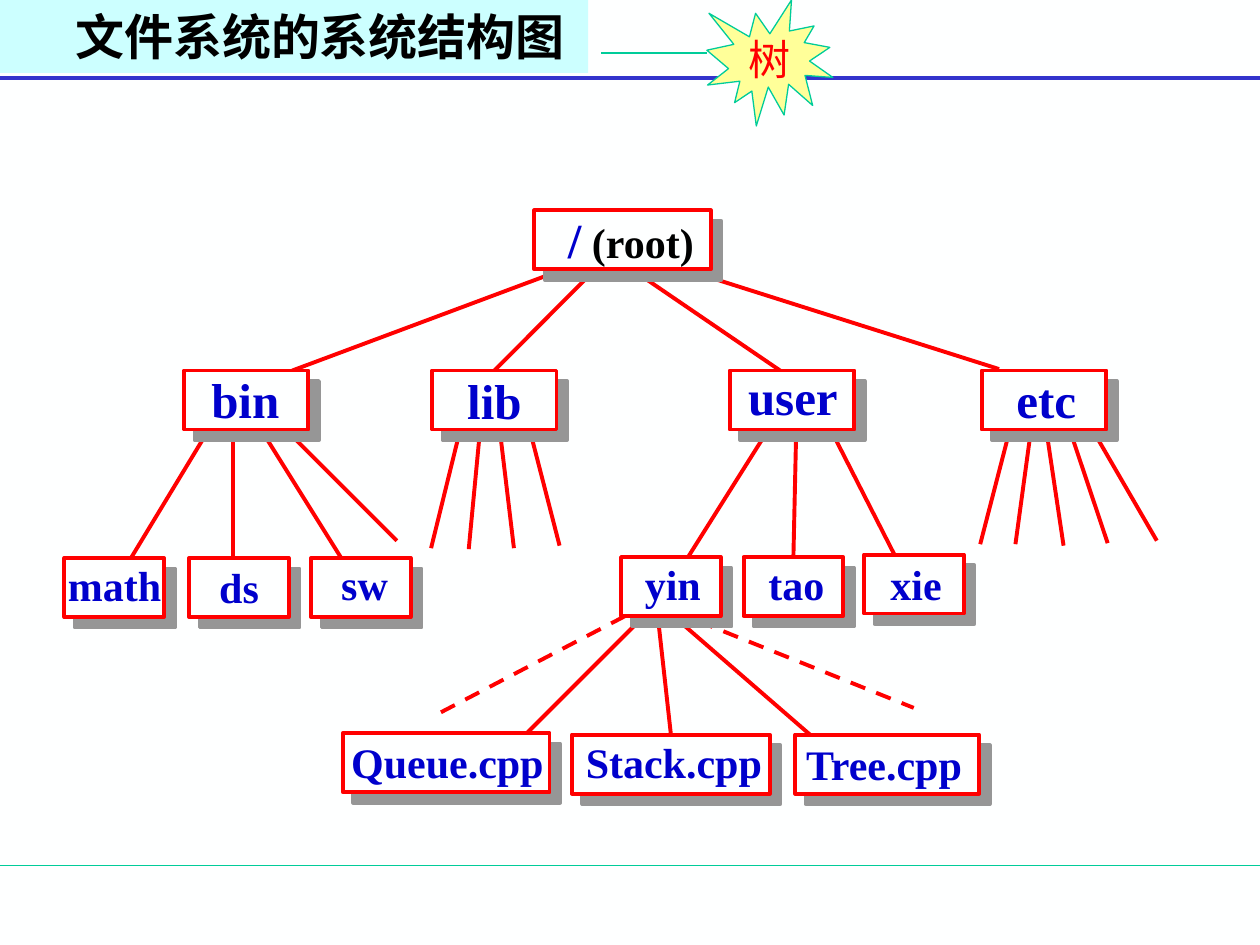
from lxml import etree
from pptx import Presentation
from pptx.dml.color import RGBColor
from pptx.enum.dml import MSO_LINE
from pptx.enum.shapes import MSO_CONNECTOR, MSO_SHAPE
from pptx.enum.text import MSO_ANCHOR, MSO_AUTO_SIZE, PP_ALIGN
from pptx.oxml.ns import qn
from pptx.util import Cm, Pt

STRAIGHT = MSO_CONNECTOR.STRAIGHT
RECT, BURST = MSO_SHAPE.RECTANGLE, MSO_SHAPE.EXPLOSION1
DASH = MSO_LINE.DASH
TOP, MIDDLE = MSO_ANCHOR.TOP, MSO_ANCHOR.MIDDLE
LEFT, CENTER = PP_ALIGN.LEFT, PP_ALIGN.CENTER
FIT = MSO_AUTO_SIZE.SHAPE_TO_FIT_TEXT

FONT = "Times New Roman"
WHITE = RGBColor(0xFE, 0xFF, 0xFF)
BLACK = RGBColor(0, 0, 0)
RED = RGBColor(0xFF, 0, 0)
BLUE = RGBColor(0, 0, 0xCC)
RULE_BLUE = RGBColor(0x33, 0x33, 0xCC)
GREEN = RGBColor(0, 0xCC, 0x99)
CYAN = RGBColor(0xCC, 0xFF, 0xFF)
YELLOW = RGBColor(0xFF, 0xFF, 0x99)
SHADOW = "969696"

NODE_H = 1.19
LABEL_H = {28: 1.45, 24: 1.27}

# size, box top, box width, then (text, box left, label left, label top, label width)
LEVELS = [
    (28, 4.24, 3.56, [("/", 10.77, 11.2, 4.09, 3.07)]),
    (28, 7.47, 2.51, [("bin", 3.71, 4.01, 7.32, 1.88), ("lib", 8.71, 9.17, 7.34, 1.6),
                      ("user", 14.71, 14.83, 7.26, 2.31), ("etc", 19.79, 20.24, 7.32, 1.73)]),
    (24, 11.25, 2.01, [("math", 1.3, 1.12, 11.15, 2.39), ("ds", 3.81, 4.17, 11.2, 1.32),
                       ("sw", 6.27, 6.63, 11.13, 1.45)]),
    (24, 11.23, 2.01, [("yin", 12.52, 12.75, 11.13, 1.65), ("tao", 14.99, 15.24, 11.13, 1.65)]),
    (24, 11.18, 2.01, [("xie", 17.42, 17.7, 11.13, 1.55)]),
    (24, 14.81, 3.99, [("Stack.cpp", 11.53, 11.56, 14.73, 4.06)]),
    (24, 14.81, 3.71, [("Tree.cpp", 16.03, 16, 14.76, 3.73)]),
    (24, 14.78, 4.17, [("Queue.cpp", 6.91, 6.83, 14.73, 4.39)]),
]

BRANCHES = [
    (13.61, 12.45, 16.33, 14.81), (13, 12.4, 10.64, 14.76),
    (22.05, 8.71, 23.32, 10.9), (21.59, 8.74, 22.33, 10.95), (21.11, 8.79, 21.44, 11),
    (20.35, 8.69, 19.76, 10.97), (20.78, 8.69, 20.47, 10.97),
    (16.76, 8.69, 18.03, 11.18), (15.52, 8.61, 13.87, 11.23),
    (10.69, 8.71, 11.28, 11), (10.08, 8.71, 10.36, 11.05),
    (9.68, 8.64, 9.45, 11.07), (9.27, 8.69, 8.69, 11.05),
    (5.79, 8.69, 8, 10.9), (5.28, 8.69, 6.88, 11.25),
    (4.7, 8.69, 4.7, 11.25), (4.19, 8.69, 2.64, 11.25),
    (13.89, 5.46, 20.14, 7.44), (12.78, 5.46, 15.8, 7.52), (11.33, 5.44, 5.89, 7.47),
]
JOINED_BRANCHES = {
    "lib": (11.99, 5.44, 9.98, 7.44),
    "tao": (16.05, 8.69, 15.98, 11.18),
    "Stack.cpp": (13.26, 12.42, 13.51, 14.78),
}


def add_line(shapes, ends, color=RED, width=2.25, dash=None):
    line = shapes.add_connector(STRAIGHT, *(Cm(v) for v in ends))
    line.line.color.rgb = color
    line.line.width = Pt(width)
    if dash:
        line.line.dash_style = dash
    etree.SubElement(line._element.spPr, qn("a:effectLst"))
    return line


def add_block(shapes, kind, area, fill, outline=None, width=2.25):
    s = shapes.add_shape(kind, *(Cm(v) for v in area))
    s.shadow.inherit = False
    s.fill.solid()
    s.fill.fore_color.rgb = fill
    if outline:
        s.line.color.rgb = outline
        s.line.width = Pt(width)
    else:
        s.line.fill.background()
    return s


def add_drop_shadow(s):
    effects = s._element.spPr.find(qn("a:effectLst"))
    shadow = etree.SubElement(effects, qn("a:outerShdw"), dist=str(Pt(8.5)),
                              dir="2700000", algn="ctr", rotWithShape="0")
    etree.SubElement(shadow, qn("a:srgbClr"), val=SHADOW)


def style(font, size, color, bold=True):
    font.name = FONT
    font.size = Pt(size)
    font.bold = bold
    font.color.rgb = color


def add_label(shapes, text, area, size):
    tf = shapes.add_textbox(*(Cm(v) for v in area)).text_frame
    tf.word_wrap = False
    tf.auto_size = FIT
    p = tf.paragraphs[0]
    r = p.add_run()
    r.text = text
    if text == "/":
        style(r.font, size, BLUE)
        r = p.add_run()
        r.text = " (root)"
        style(r.font, 24, BLACK)
    else:
        style(p.font, size, BLUE)


def add_nodes(shapes):
    boxes = {}
    for size, top, width, nodes in LEVELS:
        for text, left, label_left, label_top, label_width in nodes:
            boxes[text] = add_block(shapes, RECT, (left, top, width, NODE_H), WHITE, RED)
            add_drop_shadow(boxes[text])
            add_label(shapes, text, (label_left, label_top, label_width, LABEL_H[size]), size)
    return boxes


def add_tree(shapes):
    add_line(shapes, (14.07, 12.52, 18.42, 14.27), dash=DASH)
    for ends in BRANCHES:
        add_line(shapes, ends)
    joined = {name: add_line(shapes, ends) for name, ends in JOINED_BRANCHES.items()}
    boxes = add_nodes(shapes)
    for name, line in joined.items():
        line.end_connect(boxes[name], 0)
    add_line(shapes, (12.6, 12.42, 8.81, 14.4), dash=DASH)


def add_title(shapes):
    tf = add_block(shapes, RECT, (0, 0, 11.86, 1.47), CYAN).text_frame
    tf.word_wrap = True
    tf.vertical_anchor = TOP
    p = tf.paragraphs[0]
    p.text = "文件系统的系统结构图"
    p.alignment = LEFT
    pPr = p._p.get_or_add_pPr()
    pPr.set("marL", str(Cm(2.06)))
    pPr.set("indent", str(Cm(-0.79)))
    style(p.font, 28, BLACK)


def add_burst(shapes):
    group = shapes.add_group_shape().shapes
    tf = add_block(group, BURST, (14.25, 0, 2.54, 2.54), YELLOW, GREEN, 0.75).text_frame
    tf.word_wrap = False
    tf.vertical_anchor = MIDDLE
    p = tf.paragraphs[0]
    p.text = "树"
    p.alignment = CENTER
    style(p.font, 24, RED, bold=False)
    add_line(group, (12.12, 1.07, 14.25, 1.07), GREEN, 0.75)


def main():
    prs = Presentation()
    prs.slide_width, prs.slide_height = Cm(25.4), Cm(19.05)
    slide = prs.slides.add_slide(prs.slide_layouts[6])
    slide.background.fill.solid()
    slide.background.fill.fore_color.rgb = WHITE
    shapes = slide.shapes
    add_line(shapes, (0, 17.45, 25.4, 17.45), GREEN, 0.75)
    add_line(shapes, (0, 1.57, 25.4, 1.57), RULE_BLUE)
    add_tree(shapes)
    add_title(shapes)
    add_burst(shapes)
    prs.save("out.pptx")


if __name__ == "__main__":
    main()
